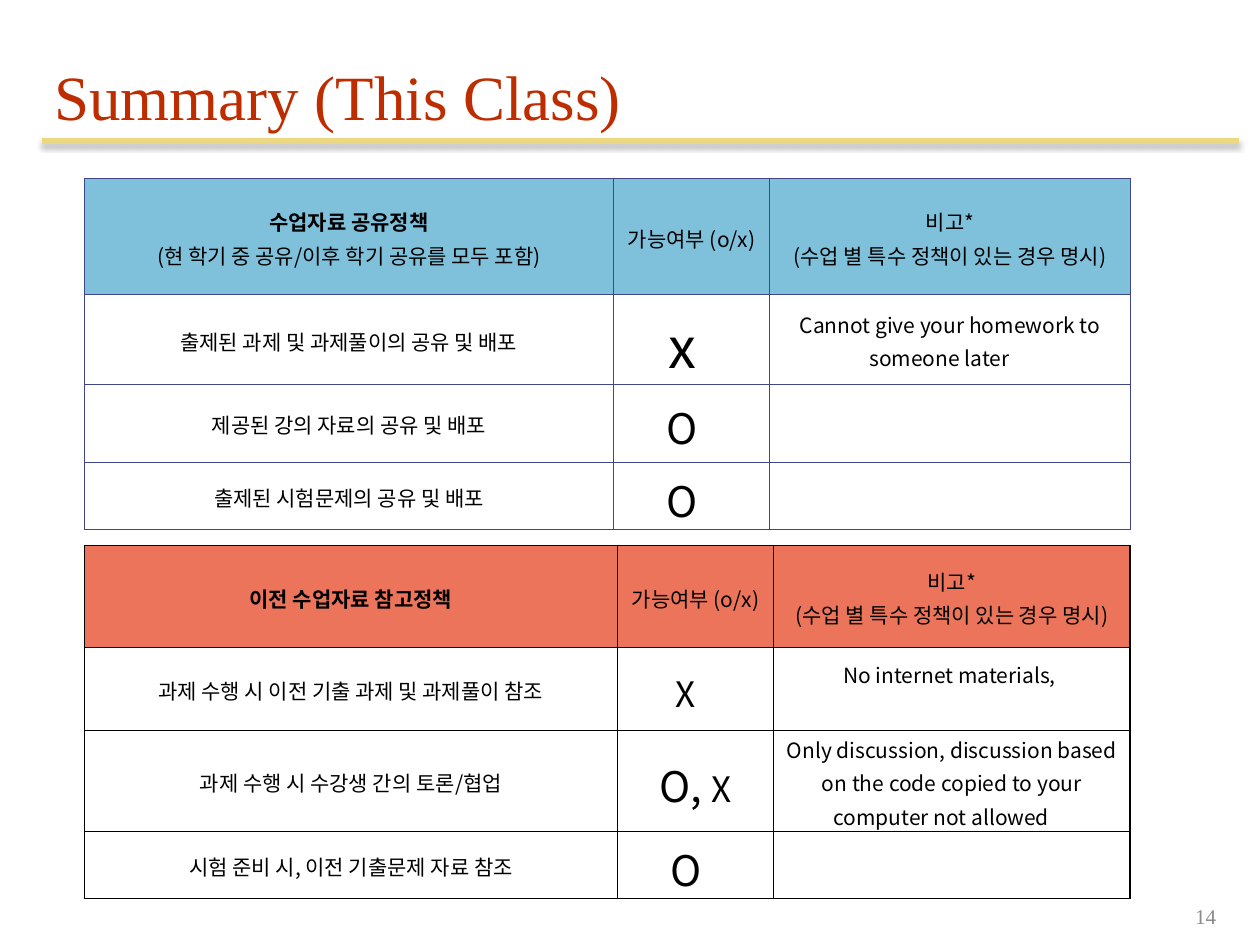
from lxml import etree
from pptx import Presentation
from pptx.dml.color import RGBColor
from pptx.enum.shapes import MSO_CONNECTOR
from pptx.enum.text import MSO_ANCHOR, PP_ALIGN
from pptx.oxml.ns import qn
from pptx.util import Inches, Pt

TITLE_ONLY = 5
STRAIGHT = MSO_CONNECTOR.STRAIGHT
MIDDLE, BOTTOM = MSO_ANCHOR.MIDDLE, MSO_ANCHOR.BOTTOM
LEFT, CENTER, RIGHT = PP_ALIGN.LEFT, PP_ALIGN.CENTER, PP_ALIGN.RIGHT
SERIF, SANS = "Times New Roman", "Noto Sans CJK KR"
WIDTH, HEIGHT = 10, 7.5
EDGE = 0.33
TABLE_LEFT = 0.67
NOTE_LINE = 0.26

ALLOWED = "가능여부 (o/x)"
REMARK = ["비고*", "(수업 별 특수 정책이 있는 경우 명시)"]


def color(value):
    return RGBColor.from_string(value)


def style_run(span, size, font, value, bold=False):
    span.font.size = Pt(size)
    span.font.name = font
    span.font.bold = bold
    span.font.color.rgb = color(value)
    east = etree.SubElement(span.font._element, qn("a:ea"))
    east.set("typeface", font)


def mark(text, size):
    return [[(text, size), ("　", 11)]]


def add_title(page, text):
    title = page.shapes.title
    title.left, title.top = Inches(EDGE), Inches(EDGE)
    title.width, title.height = Inches(WIDTH * 0.95), Inches(0.78)
    frame = title.text_frame
    frame.text = text
    frame.vertical_anchor = BOTTOM
    para = frame.paragraphs[0]
    para.alignment = LEFT
    style_run(para.runs[0], 36, SERIF, "BE2D00")


def add_rule(page, top):
    rule = page.shapes.add_connector(
        STRAIGHT, Inches(EDGE), Inches(top), Inches(EDGE + WIDTH * 0.95), Inches(top))
    rule.line.color.rgb = color("ECD882")
    rule.line.width = Pt(3)
    effects = etree.SubElement(rule._element.spPr, qn("a:effectLst"))
    shadow = etree.SubElement(
        effects, qn("a:outerShdw"), blurRad=str(Pt(3.1)), dist=str(Pt(1.8)),
        dir="5400000", rotWithShape="0")
    shade = etree.SubElement(shadow, qn("a:srgbClr"), val="000000")
    etree.SubElement(shade, qn("a:alpha"), val="35000")


def add_page_number(page, text):
    box = page.shapes.add_textbox(Inches(7.67), Inches(6.92), Inches(2.08), Inches(0.5))
    frame = box.text_frame
    frame.word_wrap = True
    frame.vertical_anchor = BOTTOM
    frame.text = text
    para = frame.paragraphs[0]
    para.alignment = RIGHT
    style_run(para.runs[0], 12, SERIF, "898989")


def set_borders(cell, value, width):
    properties = cell._tc.get_or_add_tcPr()
    for index, side in enumerate(("a:lnL", "a:lnR", "a:lnT", "a:lnB")):
        line = etree.Element(qn(side), w=str(Pt(width)))
        fill = etree.SubElement(line, qn("a:solidFill"))
        etree.SubElement(fill, qn("a:srgbClr"), val=value)
        properties.insert(index, line)


def fill_cell(cell, paragraphs, bold_first):
    cell.vertical_anchor = MIDDLE
    cell.margin_left = cell.margin_right = Inches(0.07)
    cell.margin_top = cell.margin_bottom = 0
    frame = cell.text_frame
    for index, content in enumerate(paragraphs):
        para = frame.add_paragraph() if index else frame.paragraphs[0]
        para.alignment = CENTER
        para.line_spacing = 1.1
        parts = [(content, 12)] if isinstance(content, str) else content
        for text, size in parts:
            span = para.add_run()
            span.text = text
            style_run(span, size, SANS, "000000", bold_first and index == 0)


def add_policy_table(page, top, columns, heights, rows, header_fill, border):
    frame = page.shapes.add_table(
        len(heights), len(columns), Inches(TABLE_LEFT), Inches(top),
        Inches(sum(columns)), Inches(sum(heights)))
    table = frame.table
    table.first_row = table.horz_banding = False
    for column, width in zip(table.columns, columns):
        column.width = Inches(width)
    for row, height in zip(table.rows, heights):
        row.height = Inches(height)
    for row_index, row in enumerate(rows):
        for column_index, content in enumerate(row):
            cell = table.cell(row_index, column_index)
            fill_cell(cell, content, row_index == column_index == 0)
            if row_index == 0:
                cell.fill.solid()
                cell.fill.fore_color.rgb = color(header_fill)
            else:
                cell.fill.background()
            set_borders(cell, *border)
    return table


def main():
    deck = Presentation()
    deck.slide_width, deck.slide_height = Inches(WIDTH), Inches(HEIGHT)
    page = deck.slides.add_slide(deck.slide_layouts[TITLE_ONLY])
    add_rule(page, 1.12)
    add_title(page, "Summary (This Class)")
    add_page_number(page, "14")

    sharing = [
        [["수업자료 공유정책", "(현 학기 중 공유/이후 학기 공유를 모두 포함)"], [ALLOWED], REMARK],
        [["출제된 과제 및 과제풀이의 공유 및 배포"], mark("x", 32),
         ["Cannot give your homework to someone later　"]],
        [["제공된 강의 자료의 공유 및 배포"], mark("O", 24), []],
        [["출제된 시험문제의 공유 및 배포"], mark("O", 24), []],
    ]
    add_policy_table(page, 1.42, (4.2, 1.24, 2.86), (0.92, 0.71, 0.62, 0.53),
                     sharing, "7FC1DB", ("40458C", 0.75))

    reference = [
        [["이전 수업자료 참고정책"], [ALLOWED], REMARK],
        [["과제 수행 시 이전 기출 과제 및 과제풀이 참조"], mark("X", 20),
         ["No internet materials, "]],
        [["과제 수행 시 수강생 간의 토론/협업"], [[("O, ", 24), ("X", 20)]],
         ["Only discussion, discussion based on the code copied to your "
          "computer not allowed　"]],
        [["시험 준비 시, 이전 기출문제 자료 참조"], mark("O", 24), []],
    ]
    table = add_policy_table(page, 4.33, (4.23, 1.24, 2.83), (0.81, 0.66, 0.8, 0.53),
                             reference, "EC745B", ("000000", 1))
    table.cell(1, 2).margin_bottom = Inches(NOTE_LINE)

    deck.save("out.pptx")


if __name__ == "__main__":
    main()
